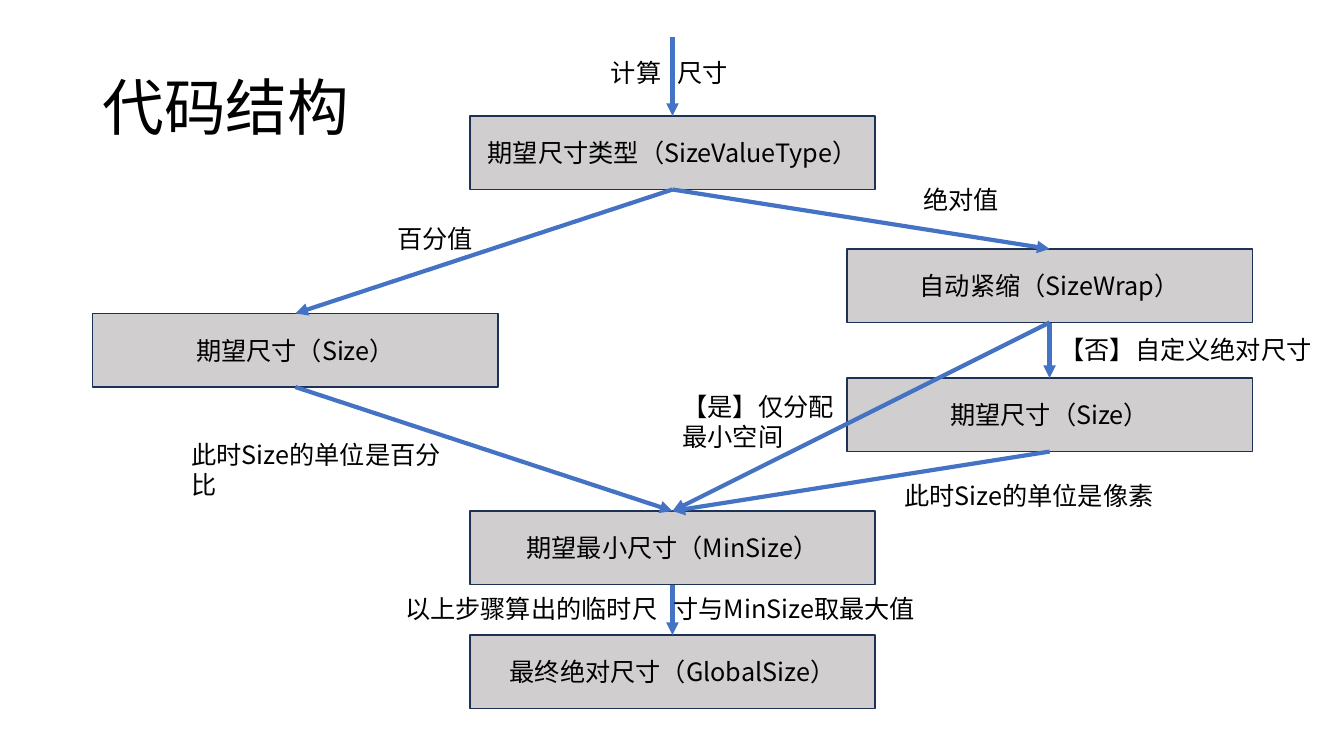
import pptx
import pptx.util
import pptx.dml.color
import pptx.enum.shapes
import pptx.enum.text
import pptx.oxml.ns
from lxml import etree
from pptx.util import Inches

theme = {
    "font": "Noto Sans CJK SC",
    "text": pptx.dml.color.RGBColor.from_string("000000"),
    "box": pptx.dml.color.RGBColor.from_string("D0CECE"),
    "border": pptx.dml.color.RGBColor.from_string("1E3256"),
    "arrow": pptx.dml.color.RGBColor.from_string("4472C4"),
    "title_size": pptx.util.Pt(44),
    "body_size": pptx.util.Pt(18),
}
qn = pptx.oxml.ns.qn


def add_run(paragraph, wording, size):
    run = paragraph.add_run()
    run.text = wording
    run.font.size = size
    run.font.name = theme["font"]
    run.font.color.rgb = theme["text"]
    etree.SubElement(run.font._element, qn("a:ea"), typeface=theme["font"])


def add_arrow(x1, y1, x2, y2):
    arrow = slide.shapes.add_connector(
        pptx.enum.shapes.MSO_CONNECTOR.STRAIGHT,
        Inches(x1), Inches(y1), Inches(x2), Inches(y2))
    arrow.line.color.rgb = theme["arrow"]
    arrow.line.width = pptx.util.Pt(3)
    etree.SubElement(arrow.line._get_or_add_ln(), qn("a:tailEnd"), type="triangle")
    etree.SubElement(arrow._element.spPr, qn("a:effectLst"))
    return arrow


deck = pptx.Presentation()
deck.slide_width = Inches(13.33)
deck.slide_height = Inches(7.5)
slide = deck.slides.add_slide(deck.slide_layouts[6])

title = slide.shapes.add_textbox(Inches(0.92), Inches(0.37), Inches(11.5), Inches(1.45))
title.text_frame.word_wrap = True
title.text_frame.vertical_anchor = pptx.enum.text.MSO_ANCHOR.MIDDLE
title.text_frame.paragraphs[0].line_spacing = 0.9
add_run(title.text_frame.paragraphs[0], "代码结构", theme["title_size"])

left, middle, right = 0.92, 4.66, 8.4
steps = {
    "type": (middle, 1.15, "期望尺寸类型（SizeValueType）"),
    "percent": (left, 3.11, "期望尺寸（Size）"),
    "wrap": (right, 2.47, "自动紧缩（SizeWrap）"),
    "pixels": (right, 3.75, "期望尺寸（Size）"),
    "minimum": (middle, 5.07, "期望最小尺寸（MinSize）"),
    "global": (middle, 6.3, "最终绝对尺寸（GlobalSize）"),
}
step_boxes = {}
for step, (x, y, wording) in steps.items():
    box = slide.shapes.add_shape(
        pptx.enum.shapes.MSO_SHAPE.RECTANGLE,
        Inches(x), Inches(y), Inches(4.02), Inches(0.73))
    box.shadow.inherit = False
    box.fill.solid()
    box.fill.fore_color.rgb = theme["box"]
    box.line.color.rgb = theme["border"]
    box.line.width = pptx.util.Pt(1)
    box.text_frame.word_wrap = True
    box.text_frame.vertical_anchor = pptx.enum.text.MSO_ANCHOR.MIDDLE
    box.text_frame.paragraphs[0].alignment = pptx.enum.text.PP_ALIGN.CENTER
    add_run(box.text_frame.paragraphs[0], wording, theme["body_size"])
    step_boxes[step] = box

add_arrow(6.67, 0.37, 6.67, 1.15).end_connect(step_boxes["type"], 0)
flows = [
    ("type", "percent"), ("type", "wrap"), ("wrap", "pixels"), ("pixels", "minimum"),
    ("percent", "minimum"), ("minimum", "global"), ("wrap", "minimum"),
]
for source, target in flows:
    flow = add_arrow(0, 0, 1, 1)
    flow.begin_connect(step_boxes[source], 2)
    flow.end_connect(step_boxes[target], 0)

labels = [
    (5.96, 0.52, 1.42, False, 0.66, ["计算\t尺寸"]),
    (3.84, 2.17, 0.96, False, None, ["百分值"]),
    (9.06, 1.78, 0.96, False, None, ["绝对值"]),
    (10.41, 3.27, 2.73, False, None, ["【否】自定义绝对尺寸"]),
    (6.67, 3.83, 1.72, False, None, ["【是】仅分配", "最小空间"]),
    (8.87, 4.72, 2.73, True, None, ["此时Size的单位是像素"]),
    (1.8, 4.31, 2.91, True, None, ["此时Size的单位是百分比"]),
    (3.92, 5.84, 5.29, True, 2.66, ["以上步骤算出的临时尺\t寸与MinSize取最大值"]),
]
for x, y, width, wraps, tab_stop, lines in labels:
    label = slide.shapes.add_textbox(
        Inches(x), Inches(y), Inches(width), Inches(0.1 + 0.3 * len(lines)))
    label.text_frame.word_wrap = wraps
    for index, line in enumerate(lines):
        paragraph = label.text_frame.add_paragraph() if index else label.text_frame.paragraphs[0]
        if tab_stop:
            tabs = etree.SubElement(paragraph._p.get_or_add_pPr(), qn("a:tabLst"))
            etree.SubElement(tabs, qn("a:tab"), pos=str(Inches(tab_stop)), algn="l")
        add_run(paragraph, line, theme["body_size"])

deck.save("out.pptx")
